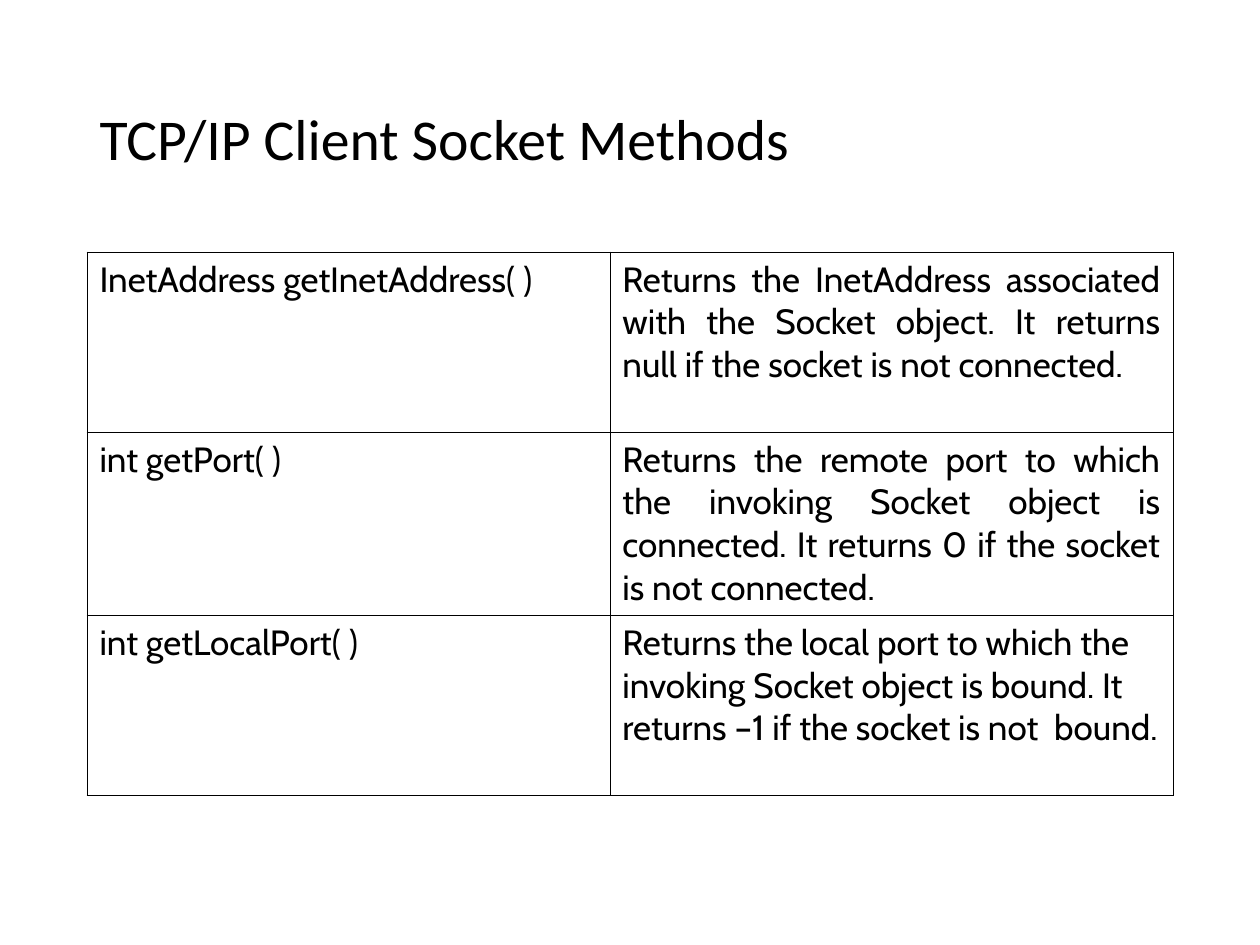
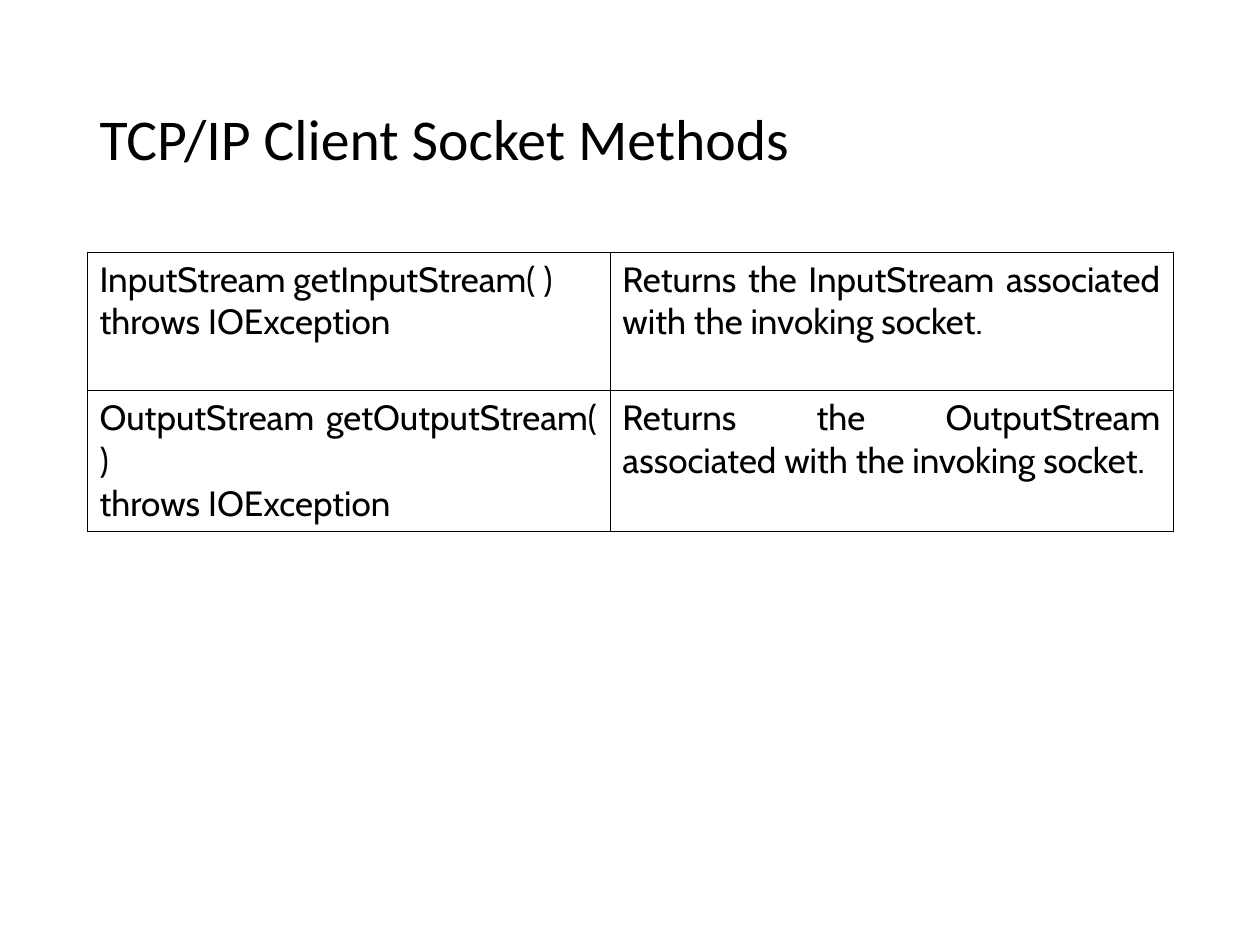
from dataclasses import dataclass

from lxml import etree
from pptx import Presentation
from pptx.dml.color import RGBColor
from pptx.enum.text import MSO_ANCHOR, MSO_AUTO_SIZE, PP_ALIGN
from pptx.oxml.ns import qn
from pptx.util import Inches, Pt

LEFT, JUSTIFY = PP_ALIGN.LEFT, PP_ALIGN.JUSTIFY
MIDDLE, TOP = MSO_ANCHOR.MIDDLE, MSO_ANCHOR.TOP
NO_AUTOFIT = MSO_AUTO_SIZE.NONE
TITLE_ONLY = 5


@dataclass(frozen=True)
class Theme:
    ink: str = "000000"
    title_font: str = "Calibri"
    title_size: float = 33
    body_font: str = "Cabin"
    body_size: float = 20
    border_width: float = 0.45


THEME = Theme()
TITLE_BOX = (0.69, 0.4, 8.63, 1.45)
TABLE_ORIGIN = (0.69, 2)
COLUMN_WIDTHS = (4.15, 4.47)
CELL_FORMAT = {
    "margin_left": Inches(0.1),
    "margin_right": Inches(0.1),
    "margin_top": Inches(0.05),
    "margin_bottom": Inches(0.05),
    "vertical_anchor": TOP,
}

TITLE = "TCP/IP Client Socket Methods"

# Each method: signature, description, alignment
ADDRESS_METHODS = [
    ("InetAddress getInetAddress( ) ",
     "Returns the InetAddress associated with the Socket object. "
     "It returns null if the socket is not connected.", JUSTIFY),
    ("int getPort( )",
     "Returns the remote port to which the invoking Socket object is connected. "
     "It returns 0 if the socket is not connected.", JUSTIFY),
    ("int getLocalPort( )",
     "Returns the local port to which the invoking Socket object is bound. "
     "It returns –1 if the socket is not  bound.", LEFT),
]
STREAM_METHODS = [
    ("InputStream getInputStream( )\nthrows IOException",
     "Returns the InputStream associated with the invoking socket.", JUSTIFY),
    ("OutputStream getOutputStream( )\nthrows IOException",
     "Returns the OutputStream associated with the invoking socket.", JUSTIFY),
]


def set_format(target, values):
    for name, value in values.items():
        setattr(target, name, value)


def write_text(frame, text, font, size, **paragraph_format):
    frame.text = text
    for paragraph in frame.paragraphs:
        set_format(paragraph, paragraph_format)
        for run in paragraph.runs:
            set_format(run.font, {"name": font, "size": Pt(size)})
            run.font.color.rgb = RGBColor.from_string(THEME.ink)


def add_borders(cell):
    """Outline all four sides; border elements must precede the cell fill."""
    properties = cell._tc.get_or_add_tcPr()
    for index, side in enumerate(("lnL", "lnR", "lnT", "lnB")):
        line = etree.Element(qn(f"a:{side}"), w=str(Pt(THEME.border_width)))
        fill = etree.SubElement(line, qn("a:solidFill"))
        etree.SubElement(fill, qn("a:srgbClr"), val=THEME.ink)
        properties.insert(index, line)


def add_title(slide, text, box):
    title = slide.shapes.title
    set_format(title, dict(zip(("left", "top", "width", "height"), map(Inches, box))))
    write_text(title.text_frame, text, THEME.title_font, THEME.title_size,
               alignment=LEFT, line_spacing=0.9)
    set_format(title.text_frame, {"vertical_anchor": MIDDLE, "word_wrap": True,
                                  "auto_size": NO_AUTOFIT})


def add_method_table(slide, methods, origin, row_height):
    left, top = map(Inches, origin)
    table = slide.shapes.add_table(
        len(methods), len(COLUMN_WIDTHS), left, top,
        Inches(sum(COLUMN_WIDTHS)), Inches(row_height * len(methods))).table
    set_format(table, {"first_row": False, "horz_banding": False})
    for column, width in zip(table.columns, COLUMN_WIDTHS):
        column.width = Inches(width)
    for row, (signature, description, alignment) in zip(table.rows, methods):
        row.height = Inches(row_height)
        for cell, text in zip(row.cells, (signature, description)):
            set_format(cell, CELL_FORMAT)
            cell.fill.background()
            add_borders(cell)
            write_text(cell.text_frame, text, THEME.body_font, THEME.body_size,
                       alignment=alignment)


def add_method_slide(deck, methods, row_height):
    slide = deck.slides.add_slide(deck.slide_layouts[TITLE_ONLY])
    add_title(slide, TITLE, TITLE_BOX)
    add_method_table(slide, methods, TABLE_ORIGIN, row_height)


def main():
    deck = Presentation()
    set_format(deck, {"slide_width": Inches(10), "slide_height": Inches(7.5)})
    add_method_slide(deck, ADDRESS_METHODS, row_height=1.43)
    add_method_slide(deck, STREAM_METHODS, row_height=1.1)
    deck.save("out.pptx")


if __name__ == "__main__":
    main()
